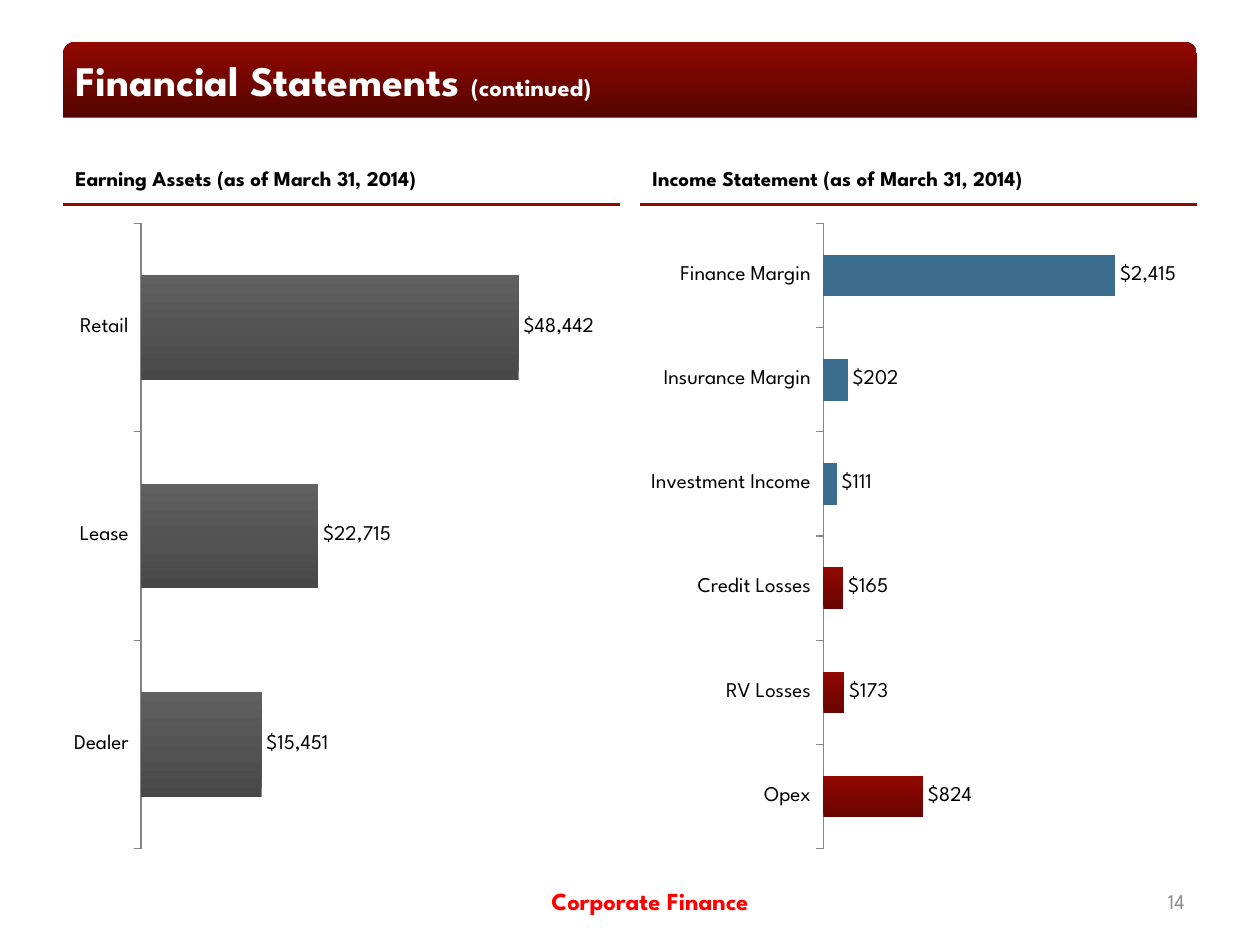
from lxml.etree import SubElement
from pptx import Presentation
from pptx.chart.data import CategoryChartData
from pptx.dml.color import RGBColor
from pptx.enum.chart import XL_CHART_TYPE as ChartType, XL_LABEL_POSITION as LabelPosition, XL_TICK_MARK as TickMark
from pptx.enum.shapes import MSO_CONNECTOR as Connector, MSO_SHAPE as Shape
from pptx.enum.text import MSO_ANCHOR as Anchor, MSO_AUTO_SIZE as AutoSize, PP_ALIGN as Align
from pptx.oxml.ns import qn
from pptx.util import Pt

FONT = "League Spartan"
MONEY = '"$"#,##0_);\\("$"#,##0\\);\\–_);"–"_)'
COLORS = {
    "black": "000000", "white": "FFFFFF", "footer": "FF0000", "number": "8C8C8C",
    "rule": "8C0C04", "axis": "868686", "blue": "3B6E8F",
    "red": "900800", "dark red": "550500", "bar red": "6A0500",
    "grey": "606060", "dark grey": "484848",
}
TITLE = [("Financial Statements ", 24), ("(continued)", 14)]
PANELS = [
    {
        "heading": "Earning Assets (as of March 31, 2014)",
        "rows": [("Dealer", 15451), ("Lease", 22715), ("Retail", 48442)],
        "maximum": 60000, "gap": 100, "gradient": ("dark grey", "grey"), "blue": [],
    },
    {
        "heading": "Income Statement (as of March 31, 2014)",
        "rows": [("Opex", 824), ("RV Losses", 173), ("Credit Losses", 165),
                 ("Investment Income", 111), ("Insurance Margin", 202), ("Finance Margin", 2415)],
        "maximum": 3000, "gap": 150, "gradient": ("bar red", "red"), "blue": [3, 4, 5],
    },
]
MARGIN, PANEL_WIDTH, PANEL_GAP = 36, 318.25, 11.5
BANNER = [Pt(value) for value in (MARGIN, 24, 648, 43.2)]


def rgb(name):
    """Return the named colour."""
    return RGBColor.from_string(COLORS[name])


def style_font(font, size, color="black", bold=False):
    """Set typeface, size, colour and weight."""
    font.name, font.size, font.bold = FONT, Pt(size), bold
    font.color.rgb = rgb(color)


def shade(fill, bottom, top):
    """Fill with a vertical gradient."""
    fill.gradient()
    fill.gradient_angle = 90
    for stop, color in zip(fill.gradient_stops, (bottom, top)):
        stop.color.rgb = rgb(color)


def write(box, spans, color="black", bold=True, align=Align.LEFT):
    """Write sized spans as one vertically centred paragraph."""
    frame = box.text_frame
    frame.word_wrap, frame.auto_size = True, AutoSize.NONE
    frame.vertical_anchor = Anchor.MIDDLE
    para = frame.paragraphs[0]
    para.alignment = align
    for text, size in spans:
        span = para.add_run()
        span.text = text
        style_font(span.font, size, color, bold)


def add_text(page, text, left, top, width, height, size=12, **style):
    """Add a one-line text box."""
    box = page.shapes.add_textbox(Pt(left), Pt(top), Pt(width), Pt(height))
    write(box, [(text, size)], **style)


def add_rule(page, left, top, width):
    """Add a horizontal heading rule."""
    rule = page.shapes.add_connector(Connector.STRAIGHT, Pt(left), Pt(top), Pt(left + width), Pt(top))
    rule.line.color.rgb, rule.line.width = rgb("rule"), Pt(1.5)
    SubElement(rule.element.spPr, qn("a:effectLst"))


def add_bars(page, panel, left):
    """Add a panel's horizontal bar chart."""
    data = CategoryChartData(number_format=MONEY)
    data.categories = [name for name, _ in panel["rows"]]
    data.add_series("Series 1", [value for _, value in panel["rows"]])
    chart = page.shapes.add_chart(
        ChartType.BAR_CLUSTERED, Pt(left), Pt(120.25), Pt(PANEL_WIDTH), Pt(372.25), data).chart
    chart.has_legend = chart.has_title = False
    style_font(chart.font, 12)

    chart.value_axis.visible = chart.value_axis.has_major_gridlines = False
    chart.value_axis.minimum_scale, chart.value_axis.maximum_scale = 0, panel["maximum"]
    axis = chart.category_axis
    axis.major_tick_mark = TickMark.OUTSIDE
    axis.format.line.color.rgb, axis.format.line.width = rgb("axis"), Pt(0.75)
    style_font(axis.tick_labels.font, 12)

    plot = chart.plots[0]
    plot.gap_width, plot.vary_by_categories = panel["gap"], False
    series = plot.series[0]
    series.invert_if_negative = False
    shade(series.format.fill, *panel["gradient"])
    for index in panel["blue"]:
        fill = series.points[index].format.fill
        fill.solid()
        fill.fore_color.rgb = rgb("blue")

    labels = series.data_labels
    labels.show_value, labels.position = True, LabelPosition.OUTSIDE_END
    labels.number_format, labels.number_format_is_linked = MONEY, False
    style_font(labels.font, 12)


def main():
    """Build the financial statements slide."""
    deck = Presentation()
    deck.slide_width, deck.slide_height = Pt(720), Pt(540)
    page = deck.slides.add_slide(deck.slide_layouts[5])

    title = page.shapes.title
    title.left, title.top, title.width, title.height = BANNER
    write(title, TITLE, color="white")
    banner = page.shapes.add_shape(Shape.ROUND_2_SAME_RECTANGLE, *BANNER)
    banner.shadow.inherit = False
    banner.line.fill.background()
    shade(banner.fill, "dark red", "red")
    title.element.addprevious(banner.element)

    for column, panel in enumerate(PANELS):
        left = MARGIN + column * (PANEL_WIDTH + PANEL_GAP)
        add_text(page, panel["heading"], left, 90, PANEL_WIDTH, 23.75)
        add_rule(page, left, 116.75, PANEL_WIDTH)
        add_bars(page, panel, left)

    add_text(page, "Corporate Finance", 191.5, 500.5, 360, 28.8, size=14, color="footer", align=Align.CENTER)
    add_text(page, "14", 516, 500.5, 168, 28.8, color="number", bold=False, align=Align.RIGHT)
    deck.save("out.pptx")


if __name__ == "__main__":
    main()
